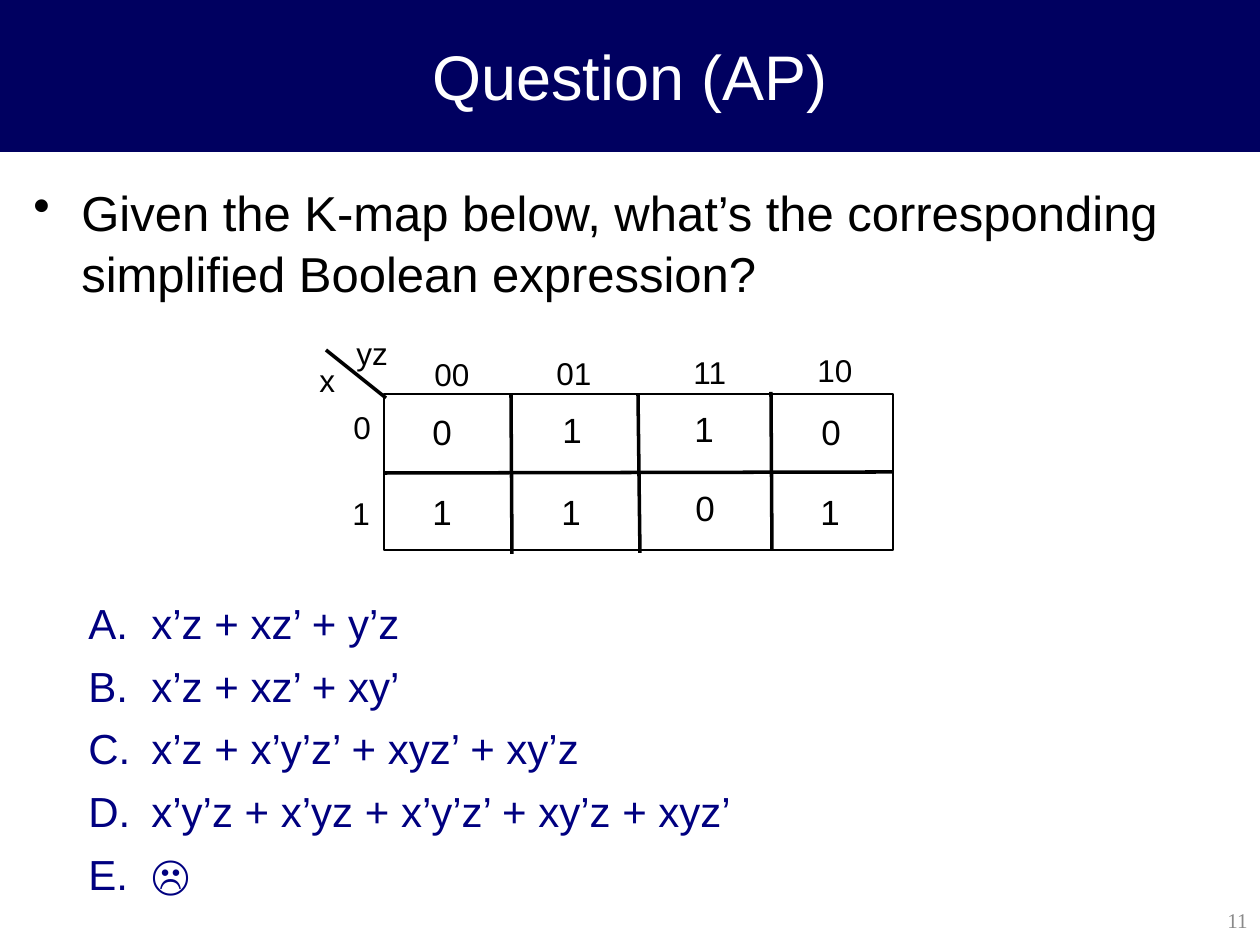
import pptx
import pptx.util
import pptx.dml.color
import pptx.enum.shapes
import pptx.enum.text
import pptx.oxml.ns
import lxml.etree

PX = 914400 / 126
COLORS = {"band": "000060", "white": "FFFFFF", "black": "000000",
          "answer": "000080", "number": "898989"}
ALIGN = pptx.enum.text.PP_ALIGN
ANCHOR = pptx.enum.text.MSO_ANCHOR


def px(n):
    return pptx.util.Emu(round(n * PX))


def rgb(name):
    return pptx.dml.color.RGBColor.from_string(COLORS[name])


def add_element(parent, tag, **attrs):
    return lxml.etree.SubElement(parent, pptx.oxml.ns.qn(tag), attrs)


def add_text(s, box, lines, size, color, font="Arial", align=ALIGN.LEFT,
             anchor=ANCHOR.TOP):
    tf = s.shapes.add_textbox(*map(px, box)).text_frame
    tf.word_wrap = True
    tf.vertical_anchor = anchor
    tf.text = "\n".join(lines)
    for p in tf.paragraphs:
        p.alignment = align
        for r in p.runs:
            r.font.size = pptx.util.Pt(size)
            r.font.name = font
            r.font.color.rgb = rgb(color)
    return tf


def add_list(s, box, lines, size, color, margin, hang, bullet, **attrs):
    tf = add_text(s, box, lines, size, color)
    for i, p in enumerate(tf.paragraphs):
        p.line_spacing = 1.04
        p.space_before = pptx.util.Pt(6 if i else 0)
        pPr = p._p.get_or_add_pPr()
        pPr.set("marL", str(px(margin)))
        pPr.set("indent", str(-px(hang)))
        buClr = add_element(pPr, "a:buClr")
        add_element(buClr, "a:srgbClr", val=COLORS[color])
        add_element(pPr, bullet, **attrs)


def add_rect(s, box, line, width, fill=None):
    sp = s.shapes.add_shape(pptx.enum.shapes.MSO_SHAPE.RECTANGLE, *map(px, box))
    sp.shadow.inherit = False
    if fill:
        sp.fill.solid()
        sp.fill.fore_color.rgb = rgb(fill)
    else:
        sp.fill.background()
    sp.line.color.rgb = rgb(line)
    sp.line.width = pptx.util.Pt(width)


def add_line(s, x1, y1, x2, y2):
    line = s.shapes.add_connector(pptx.enum.shapes.MSO_CONNECTOR.STRAIGHT,
                                  *map(px, (x1, y1, x2, y2)))
    line.line.color.rgb = rgb("black")
    line.line.width = pptx.util.Pt(2)
    add_element(line._element.spPr, "a:effectLst")


def add_title(s, box, text):
    add_rect(s, box, "band", 0.75, "band")
    add_text(s, box, [text], 36, "white", align=ALIGN.CENTER, anchor=ANCHOR.MIDDLE)


def add_kmap(s, box):
    left, top, width, height = box
    add_rect(s, box, "black", 1)

    rules = [(0, 79, width, 78), (254, 0, 256, 159), (127, 1, 128, 160),
             (387, -2, 388, 157), (2, 4, -58, -44)]
    for x1, y1, x2, y2 in rules:
        add_line(s, left + x1, top + y1, left + x2, top + y2)

    labels = [("00", 38, -45), ("01", 160, -46), ("11", 297, -47), ("10", 421, -49),
              ("0", -43, 8), ("1", -44, 94), ("x", -77, -39), ("yz", -40, -66)]
    values = [("0", 36, 10), ("1", 166, 8), ("1", 298, 7), ("0", 425, 10),
              ("1", 36, 90), ("1", 165, 90), ("0", 299, 86), ("1", 424, 90)]
    for group, size, h in ((labels, 18, 50), (values, 20, 55)):
        for text, x, y in group:
            add_text(s, (left + x, top + y, 68, h), [text], size, "black")


def main():
    prs = pptx.Presentation()
    prs.slide_width, prs.slide_height = px(1260), px(945)
    s = prs.slides.add_slide(prs.slide_layouts[6])

    add_title(s, (0, 0, 1260, 151), "Question (AP)")
    add_list(s, (21, 174, 1217, 140),
             ["Given the K-map below, what’s the corresponding simplified Boolean expression?"],
             28, "black", 48, 48, "a:buChar", char="•")
    add_kmap(s, (384, 394, 509, 156))
    add_list(s, (21, 589, 1217, 306),
             ["x’z + xz’ + y’z", "x’z + xz’ + xy’", "x’z + x’y’z’ + xyz’ + xy’z",
              "x’y’z + x’yz + x’y’z’ + xy’z + xyz’", "☹"],
             24, "answer", 118, 63, "a:buAutoNum", type="alphaUcPeriod")
    add_text(s, (993, 895, 267, 50), ["11"], 12, "number", "Times New Roman",
             ALIGN.RIGHT, ANCHOR.MIDDLE)

    prs.save("out.pptx")


if __name__ == "__main__":
    main()
